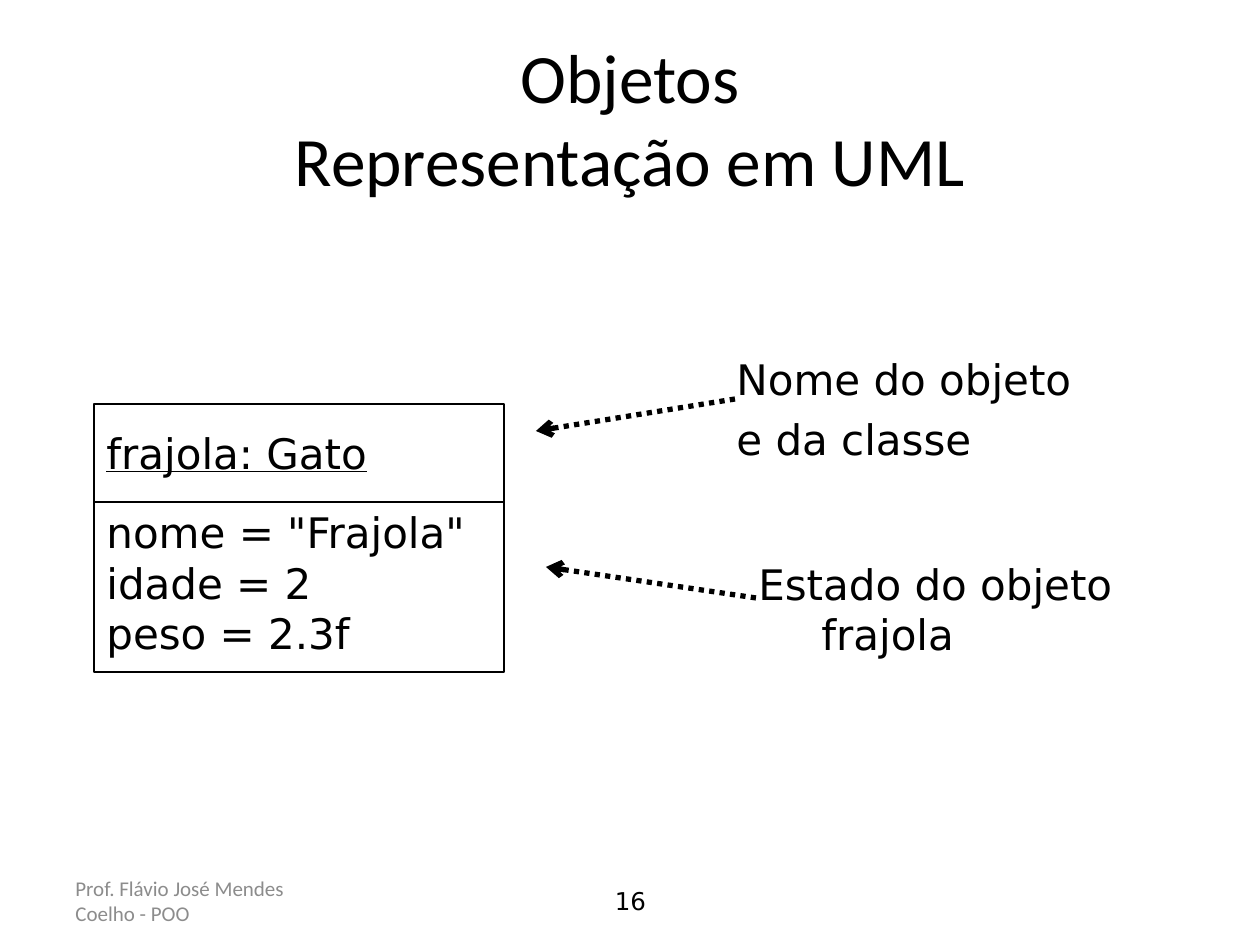
from dataclasses import dataclass

from lxml.etree import SubElement
from pptx import Presentation
from pptx.dml.color import RGBColor
from pptx.enum.dml import MSO_LINE
from pptx.enum.shapes import MSO_CONNECTOR, MSO_SHAPE
from pptx.enum.text import MSO_ANCHOR, PP_ALIGN
from pptx.oxml.ns import qn
from pptx.util import Pt

PX = 914400 // 126


@dataclass(frozen=True)
class Theme:
    """Colours, fonts and sizes of the slide."""
    ink: RGBColor = RGBColor(0, 0, 0)
    paper: RGBColor = RGBColor(255, 255, 255)
    muted: RGBColor = RGBColor(0x8C, 0x8C, 0x8C)
    heading: str = "Calibri"
    body: str = "DejaVu Sans"
    title: float = 39.6
    text: float = 24
    number: float = 14
    footer: float = 12


T = Theme()


@dataclass(frozen=True)
class Block:
    """A piece of text with its place (pixels) and paragraph style."""
    box: tuple[int, int, int, int]
    lines: tuple[str, ...]
    size: float = T.text
    font: str = T.body
    color: RGBColor = T.ink
    align: PP_ALIGN = PP_ALIGN.LEFT
    indent: int = 0
    before: float = 0
    after: float = 0
    spacing: float = 1.0
    underline: bool = False


@dataclass(frozen=True)
class Arrow:
    """A dotted arrow between two points (pixels)."""
    start: tuple[int, int]
    end: tuple[int, int]


LABELS = (
    Block((63, 876, 294, 50), ("Prof. Flávio José Mendes Coelho - POO",),
          T.footer, T.heading, T.muted),
    Block((431, 876, 399, 50), ("16",), T.number, align=PP_ALIGN.CENTER),
    Block((63, 38, 1134, 158), ("Objetos\vRepresentação em UML",),
          T.title, T.heading, align=PP_ALIGN.CENTER),
    Block((724, 346, 420, 126), ("Nome do objeto", "e da classe"),
          indent=63, before=5.6),
    Block((746, 546, 483, 126), ("Estado do objeto frajola",),
          indent=63, before=5.6),
)
COMPARTMENTS = (
    Block((94, 404, 410, 98), ("frajola: Gato",),
          indent=48, before=5, after=5, underline=True),
    Block((94, 502, 410, 170), ('nome = "Frajola"', "idade = 2", "peso = 2.3f"),
          indent=48, before=5.6, spacing=0.8),
)
ARROWS = (Arrow((735, 399), (536, 431)), Arrow((756, 598), (546, 567)))


def emu(lengths: tuple[int, ...]) -> list[int]:
    """Turn pixels into EMU."""
    return [n * PX for n in lengths]


def write(sp, block: Block) -> None:
    """Fill a shape with the block's paragraphs."""
    tf = sp.text_frame
    tf.word_wrap = True
    tf.vertical_anchor = MSO_ANCHOR.MIDDLE
    for i, line in enumerate(block.lines):
        p = tf.add_paragraph() if i else tf.paragraphs[0]
        p.text = line
        p.alignment = block.align
        p.line_spacing = block.spacing
        p.space_before, p.space_after = Pt(block.before), Pt(block.after)
        p.font.size, p.font.name = Pt(block.size), block.font
        p.font.color.rgb = block.color
        p.font.underline = block.underline
        if block.indent:
            pPr = p._p.get_or_add_pPr()
            pPr.set("marL", str(block.indent * PX))
            pPr.set("indent", str(-block.indent * PX))


def add_label(shapes, block: Block) -> None:
    """Add free text."""
    write(shapes.add_textbox(*emu(block.box)), block)


def add_compartment(shapes, block: Block) -> None:
    """Add one outlined compartment of the UML object."""
    sp = shapes.add_shape(MSO_SHAPE.RECTANGLE, *emu(block.box))
    sp.shadow.inherit = False
    sp.fill.solid()
    sp.fill.fore_color.rgb = T.paper
    sp.line.color.rgb = T.ink
    sp.line.width = Pt(1.5)
    write(sp, block)


def add_arrow(shapes, arrow: Arrow) -> None:
    """Add a dotted connector with an arrowhead at its end."""
    cx = shapes.add_connector(MSO_CONNECTOR.STRAIGHT, *emu(arrow.start + arrow.end))
    cx.line.color.rgb = T.ink
    cx.line.width = Pt(3)
    cx.line.dash_style = MSO_LINE.ROUND_DOT
    SubElement(cx.line._get_or_add_ln(), qn("a:tailEnd"), type="arrow")
    SubElement(cx._element.spPr, qn("a:effectLst"))


def main() -> None:
    """Build and save the slide."""
    prs = Presentation()
    prs.slide_width, prs.slide_height = emu((1260, 945))
    shapes = prs.slides.add_slide(prs.slide_layouts[6]).shapes
    for label in LABELS:
        add_label(shapes, label)
    uml_object = shapes.add_group_shape()
    for compartment in COMPARTMENTS:
        add_compartment(uml_object.shapes, compartment)
    for arrow in ARROWS:
        add_arrow(shapes, arrow)
    prs.save("out.pptx")


main()
